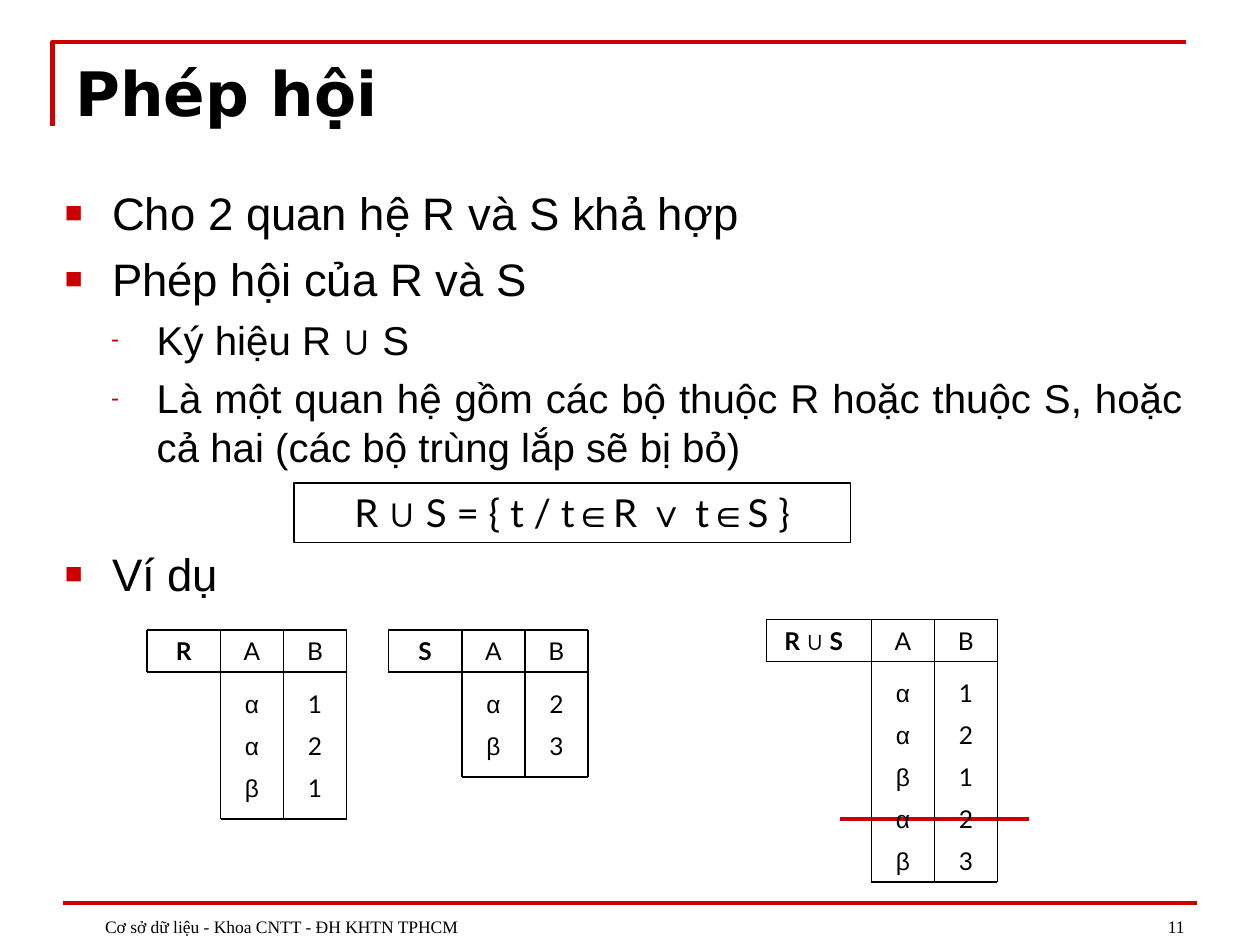
from dataclasses import dataclass
from itertools import groupby

from lxml.etree import SubElement
from pptx import Presentation
from pptx.dml.color import RGBColor as Rgb
from pptx.enum.shapes import MSO_CONNECTOR as Conn, MSO_SHAPE as Kind
from pptx.enum.text import MSO_ANCHOR as Anchor, PP_ALIGN as Align
from pptx.oxml.ns import qn
from pptx.util import Pt


@dataclass(frozen=True)
class Theme:
    red: Rgb = Rgb(0xCC, 0x00, 0x00)
    black: Rgb = Rgb(0x00, 0x00, 0x00)
    head: str = "DejaVu Sans"
    body: str = "Arial"
    math: str = "Lato"
    foot: str = "Times New Roman"
    title: float = 35
    main: float = 26
    sub: float = 23
    rule: float = 22
    cell: float = 14
    note: float = 10


@dataclass(frozen=True)
class Point:
    text: str
    deep: bool = False
    before: float = 6.5


@dataclass(frozen=True)
class Grid:
    name: str
    left: float
    top: float
    lead: float       # width of the name column
    rows: tuple[tuple[str, str], ...]
    foot: float = 6   # space below the last row
    over: float = 0   # extra room left of the name


LOOK = Theme()
SIGNS = "∪∈∨"
GREEK = "αβ"
COL, ROW, GAP = 36, 24, 6

POINTS = (
    Point("Cho 2 quan hệ R và S khả hợp"),
    Point("Phép hội của R và S"),
    Point("Ký hiệu R ∪ S", True, 5.8),
    Point("Là một quan hệ gồm các bộ thuộc R hoặc thuộc S, hoặc "
          "cả hai (các bộ trùng lắp sẽ bị bỏ)", True, 5.8),
    Point("Ví dụ", before=43),  # leaves room for the formula
)
GRIDS = (
    Grid("R", 84, 360, 42, (("α", "1"), ("α", "2"), ("β", "1"))),
    Grid("S", 222, 360, 42, (("α", "2"), ("β", "3"))),
    Grid("R ∪ S", 438, 354, 60,
         (("α", "1"), ("α", "2"), ("β", "1"), ("α", "2"), ("β", "3")), 0, 6),
)

deck = Presentation()
deck.slide_width, deck.slide_height = Pt(720), Pt(540)
slide = deck.slides.add_slide(deck.slide_layouts[6])
shapes = slide.shapes


def line(x1: float, y1: float, x2: float, y2: float,
         color: Rgb = LOOK.black, width: float = 1) -> None:
    part = shapes.add_connector(Conn.STRAIGHT, Pt(x1), Pt(y1), Pt(x2), Pt(y2))
    part.line.color.rgb = color
    part.line.width = Pt(width)
    SubElement(part._element.spPr, qn("a:effectLst"))


def style(run, face: str, size: float, bold: bool = False) -> None:
    font = run.font
    font.name, font.size, font.bold = face, Pt(size), bold
    font.color.rgb = LOOK.black


def frame(x: float, y: float, w: float, h: float):
    text = shapes.add_textbox(Pt(x), Pt(y), Pt(w), Pt(h)).text_frame
    text.word_wrap = True
    return text


def label(text, words: str, face: str, size: float, bold: bool = False,
          align: Align = Align.LEFT):
    text.text = words
    para = text.paragraphs[0]
    para.alignment = align
    style(para.runs[0], face, size, bold)
    return para


def mixed(text, words: str, size: float, bold: bool = False) -> None:
    """Centre words, with Greek letters and signs in the body face."""
    para = text.paragraphs[0]
    para.alignment = Align.CENTER
    for odd, part in groupby(words, lambda c: c in SIGNS + GREEK):
        run = para.add_run()
        run.text = "".join(part)
        style(run, LOOK.body if odd else LOOK.math, size,
              bold or run.text in SIGNS)


def bullet(para, sign: str, share: int, left: float, hang: float) -> None:
    props = para._p.get_or_add_pPr()
    props.set("marL", str(Pt(left)))
    props.set("indent", str(-Pt(hang)))
    color = SubElement(props, qn("a:buClr"))
    SubElement(color, qn("a:srgbClr"), val=str(LOOK.red))
    SubElement(props, qn("a:buSzPct"), val=str(share * 1000))
    SubElement(props, qn("a:buFont"), typeface=LOOK.body)
    SubElement(props, qn("a:buChar"), char=sign)


def draw(grid: Grid) -> None:
    x, y = grid.left, grid.top
    cols = [x + grid.lead + COL * i for i in range(3)]
    base = y + ROW
    end = base + GAP + ROW * len(grid.rows) + grid.foot
    # Rules
    for level in (y, base):
        line(x, level, cols[-1], level)
    line(cols[0], end, cols[-1], end)
    line(x, y, x, base)
    for col in cols:
        line(col, y, col, end)
    # Cells
    mixed(frame(x - grid.over, y, grid.lead + grid.over, ROW), grid.name,
          LOOK.cell, True)
    tops = [y] + [base + GAP + ROW * i for i in range(len(grid.rows))]
    for top, row in zip(tops, (("A", "B"),) + grid.rows):
        for col, word in zip(cols, row):
            mixed(frame(col, top, COL, ROW), word, LOOK.cell)


# Title corner and bottom rule
pen = shapes.build_freeform(Pt(30), Pt(72))
pen.add_line_segments([(Pt(30), Pt(24)), (Pt(678), Pt(24))], close=False)
corner = pen.convert_to_shape()
corner.shadow.inherit = False
corner.fill.background()
corner.line.color.rgb = LOOK.red
corner.line.width = Pt(2.5)
line(36, 516, 684, 516, LOOK.red, 2)

# Strike through the repeated row
line(588, 468, 480, 468, LOOK.red, 2.25)

# Title
label(frame(36, 28, 648, 49), "Phép hội", LOOK.head, LOOK.title, True)

# Points
body = frame(30, 102, 654, 402)
body.text = "\n".join(point.text for point in POINTS)
for para, point in zip(body.paragraphs, POINTS):
    para.alignment = Align.JUSTIFY
    para.level = int(point.deep)
    para.space_before = Pt(point.before)
    style(para.runs[0], LOOK.body, LOOK.sub if point.deep else LOOK.main)
    if point.deep:
        bullet(para, "-", 60, 52.5, 26)
    else:
        bullet(para, "■", 65, 27, 27)

# Formula
box = shapes.add_shape(Kind.RECTANGLE, Pt(168), Pt(276), Pt(318), Pt(34))
box.shadow.inherit = False
box.fill.background()
box.line.color.rgb = LOOK.black
box.line.width = Pt(1)
box.text_frame.vertical_anchor = Anchor.TOP
mixed(box.text_frame, "R ∪ S = { t / t∈R ∨ t∈S }", LOOK.rule)

# Relations
for grid in GRIDS:
    draw(grid)

# Footer
for left, width, words, align in (
        (516, 168, "11", Align.RIGHT),
        (36, 438, "Cơ sở dữ liệu - Khoa CNTT - ĐH KHTN TPHCM", Align.LEFT)):
    note = frame(left, 503, width, 36)
    note.vertical_anchor = Anchor.BOTTOM
    para = label(note, words, LOOK.foot, LOOK.note, align=align)
    para._p.get_or_add_pPr().set("marL", str(Pt(17)))

deck.save("out.pptx")
